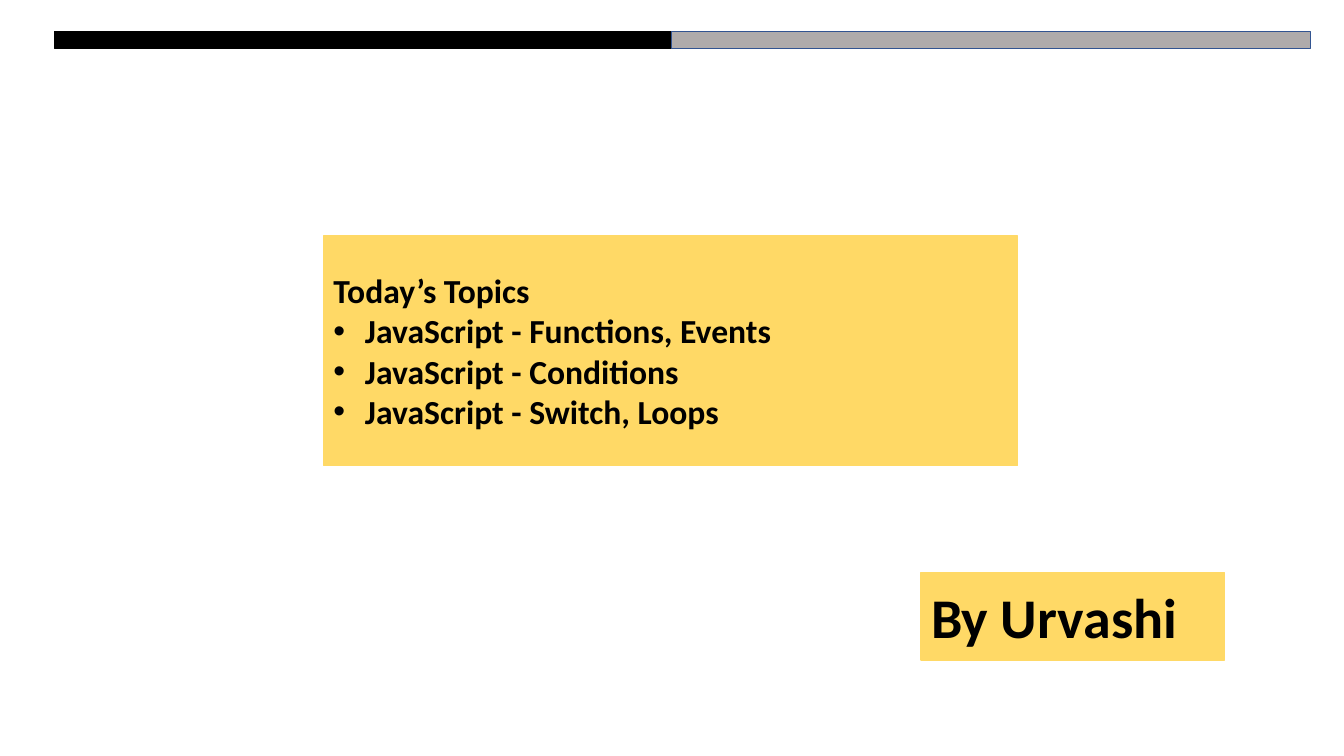
from lxml.etree import SubElement
from pptx import Presentation
from pptx.dml.color import RGBColor
from pptx.enum.shapes import MSO_SHAPE
from pptx.enum.text import MSO_ANCHOR, MSO_AUTO_SIZE, PP_ALIGN
from pptx.oxml.ns import qn
from pptx.util import Pt


class Theme:
    """Colours, font and type sizes of the slide."""
    font = "Calibri"
    text = RGBColor(0x00, 0x00, 0x00)
    panel = RGBColor(0xFF, 0xD9, 0x66)
    dark = RGBColor(0x00, 0x00, 0x00)
    grey = RGBColor(0xAF, 0xAB, 0xAB)
    edge = RGBColor(0x32, 0x54, 0x91)
    list_size = Pt(24)
    byline_size = Pt(40)
    indent = Pt(22.5)
    line_width = Pt(1)


class Deck:
    """Holds the theme and the current slide."""

    def __init__(self, theme, width, height):
        """Open a presentation with one title-and-content slide."""
        self.theme = theme
        self.prs = Presentation()
        self.prs.slide_width, self.prs.slide_height = Pt(width), Pt(height)
        self.s = self.prs.slides.add_slide(self.prs.slide_layouts[1])
        title = self.s.shapes.title
        title.element.getparent().remove(title.element)

    def paint(self, sp, fill, line):
        """Give a shape its fill and outline."""
        sp.fill.solid()
        sp.fill.fore_color.rgb = fill
        sp.line.color.rgb = line
        sp.line.width = self.theme.line_width

    def bar(self, box, fill, line):
        """Add a plain rectangle."""
        sp = self.s.shapes.add_shape(MSO_SHAPE.RECTANGLE, *map(Pt, box))
        sp.shadow.inherit = False
        self.paint(sp, fill, line)
        return sp

    def set_text(self, tf, lines, size):
        """Fill a text frame with bold, left-aligned paragraphs."""
        frame = {"word_wrap": True, "auto_size": MSO_AUTO_SIZE.NONE,
                 "vertical_anchor": MSO_ANCHOR.MIDDLE}
        for name, value in frame.items():
            setattr(tf, name, value)
        para = {"alignment": PP_ALIGN.LEFT, "line_spacing": 1.0,
                "space_before": Pt(0), "space_after": Pt(0)}
        font = {"name": self.theme.font, "size": size, "bold": True}
        for i, text in enumerate(lines):
            p = tf.paragraphs[0] if i == 0 else tf.add_paragraph()
            for name, value in para.items():
                setattr(p, name, value)
            r = p.add_run()
            r.text = text
            for name, value in font.items():
                setattr(r.font, name, value)
            r.font.color.rgb = self.theme.text

    def bullet(self, p, char=None):
        """Set a hanging bullet, or none when no character is given."""
        pPr = p._p.get_or_add_pPr()
        indent = self.theme.indent if char else 0
        pPr.set("marL", str(indent))
        pPr.set("indent", str(-indent))
        if char:
            SubElement(pPr, qn("a:buFont")).set("typeface", "Arial")
            SubElement(pPr, qn("a:buChar")).set("char", char)
        else:
            SubElement(pPr, qn("a:buNone"))

    def topics(self, box, heading, items):
        """Fill the body placeholder with a heading and its list."""
        sp = self.s.placeholders[1]
        sp.left, sp.top, sp.width, sp.height = map(Pt, box)
        self.paint(sp, self.theme.panel, self.theme.panel)
        self.set_text(sp.text_frame, [heading, *items], self.theme.list_size)
        first, *rest = sp.text_frame.paragraphs
        self.bullet(first)
        for p in rest:
            self.bullet(p, "•")

    def byline(self, box, text):
        """Add the author panel."""
        sp = self.bar(box, self.theme.panel, self.theme.panel)
        self.set_text(sp.text_frame, [text], self.theme.byline_size)


theme = Theme()
deck = Deck(theme, 960, 540)
deck.topics((231, 168.5, 496, 164), "Today’s Topics",
            [f"JavaScript - {topic}" for topic in
             ("Functions, Events", "Conditions", "Switch, Loops")])
deck.bar((39, 22.5, 600, 12), theme.dark, theme.dark)
deck.bar((479.5, 22.5, 456.5, 12), theme.grey, theme.edge)
deck.byline((658, 409, 216.5, 62.5), "By Urvashi")
deck.prs.save("out.pptx")
